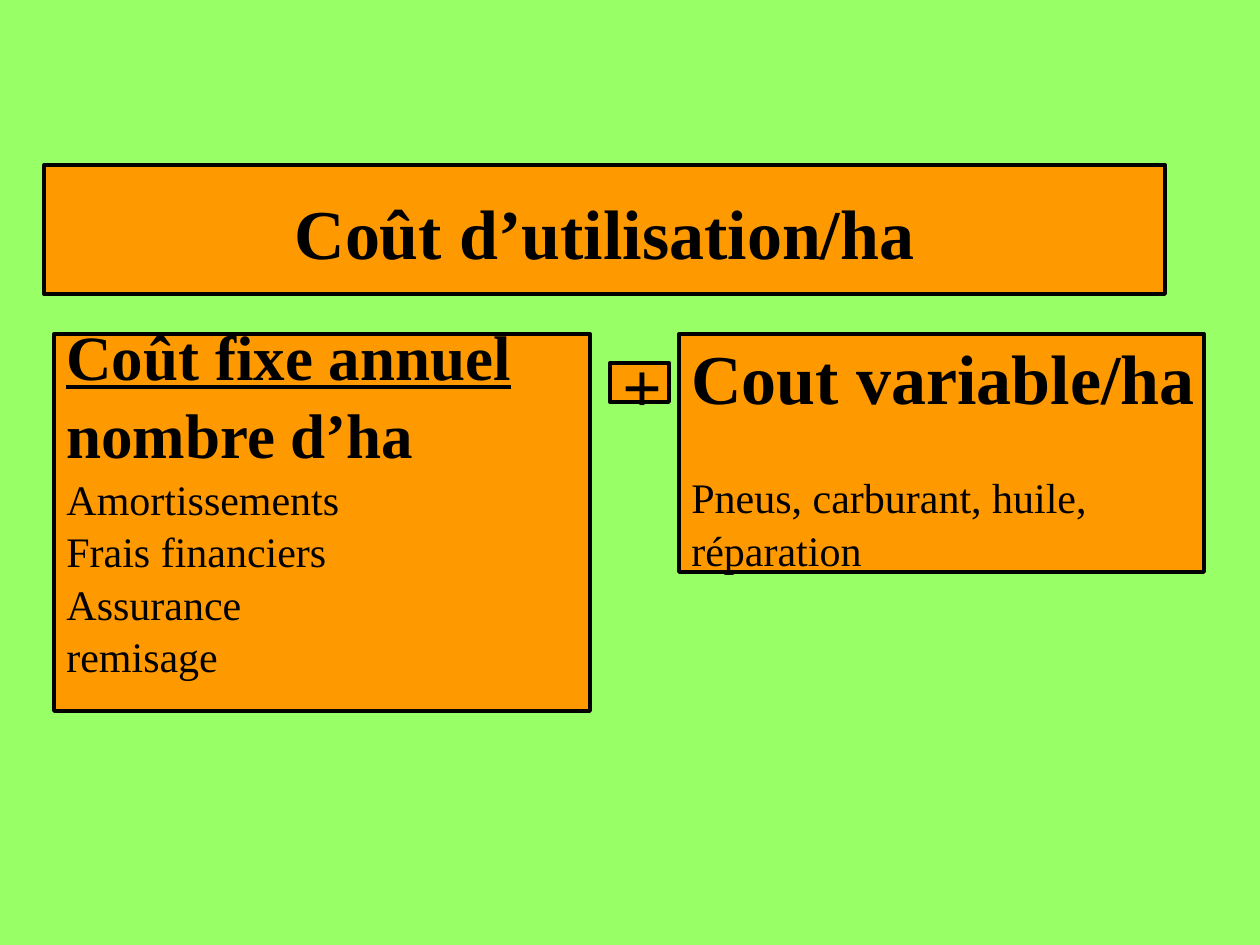
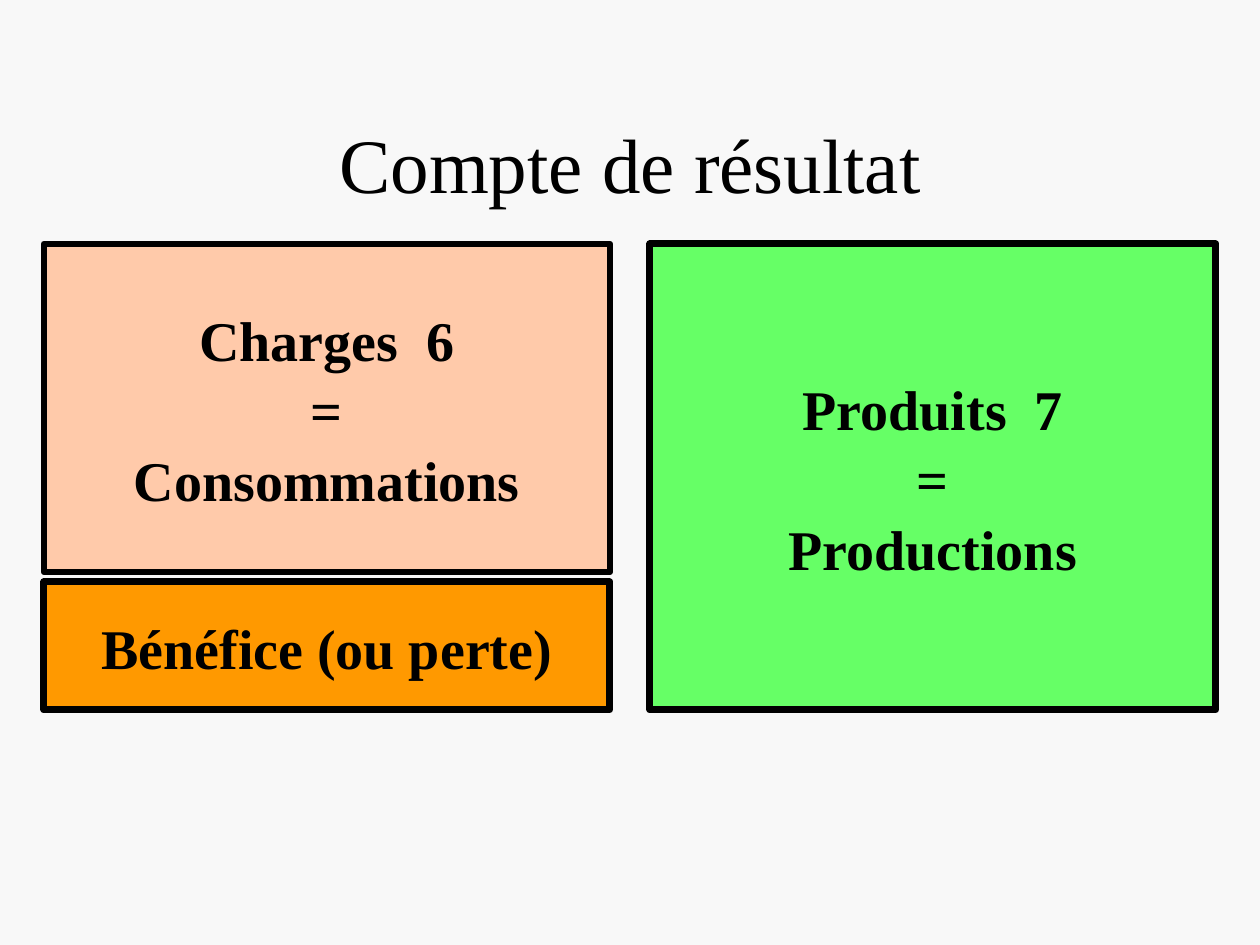
from lxml import etree
from pptx import Presentation
from pptx.dml.color import RGBColor
from pptx.enum.shapes import MSO_SHAPE as SHAPE
from pptx.enum.text import MSO_ANCHOR as ANCHOR, PP_ALIGN as ALIGN
from pptx.oxml.ns import qn
from pptx.util import Emu, Pt

PX_PER_INCH = 126
FONT = "Times New Roman"
LINE_SPACING = 1.04
COLOURS = {
    "green page": "99FF66",
    "grey page": "F8F8F8",
    "orange": "FF9900",
    "peach": "FFCAAA",
    "green": "66FF66",
    "black": "000000",
}
STYLES = {
    "title": {"size": Pt(44), "bold": False},
    "cost": {"size": Pt(40), "bold": True},
    "numerator": {"size": Pt(36), "bold": True, "underline": True},
    "denominator": {"size": Pt(36), "bold": True},
    "detail": {"size": Pt(24), "bold": False},
    "account": {"size": Pt(32), "bold": True},
}


def px(length):
    return Emu(round(length * 914400 / PX_PER_INCH))


def colour(name):
    return RGBColor.from_string(COLOURS[name])


def add_page(deck, layout, background):
    slide = deck.slides.add_slide(deck.slide_layouts[layout])
    slide.background.fill.solid()
    slide.background.fill.fore_color.rgb = colour(background)
    return slide


def place(shape, box):
    for side, length in zip(("left", "top", "width", "height"), box):
        setattr(shape, side, px(length))


def write(frame, lines, align):
    """Fill a text frame with (text, style name) paragraphs."""
    frame.vertical_anchor = ANCHOR.MIDDLE
    frame.word_wrap = True
    for number, (text, style) in enumerate(lines):
        paragraph = frame.add_paragraph() if number else frame.paragraphs[0]
        paragraph.alignment = align
        run = paragraph.add_run()
        run.text = text
        run.font.name = FONT
        run.font.color.rgb = colour("black")
        for key, value in STYLES[style].items():
            setattr(run.font, key, value)


def add_title(slide, text, box):
    place(slide.shapes.title, box)
    write(slide.shapes.title.text_frame, [(text, "title")], ALIGN.CENTER)


def add_block(slide, box, fill, lines, line_width, align=ALIGN.CENTER):
    """Draw an outlined rectangle with text and return its text frame."""
    block = slide.shapes.add_shape(SHAPE.RECTANGLE, *map(px, box))
    block.shadow.inherit = False
    block.fill.solid()
    block.fill.fore_color.rgb = colour(fill)
    block.line.color.rgb = colour("black")
    block.line.width = Pt(line_width)
    etree.SubElement(block._element.spPr.find(qn("a:ln")), qn("a:round"))
    frame = block.text_frame
    if align == ALIGN.LEFT:
        frame.margin_right = 0
    write(frame, lines, align)
    for paragraph in frame.paragraphs:
        paragraph.line_spacing = LINE_SPACING
    return frame


def build_usage_cost(deck):
    slide = add_page(deck, 6, "green page")
    fixed_costs = ["Amortissements", "Frais financiers", "Assurance", "remisage"]
    variable_costs = ["Pneus, carburant, huile,", "réparation"]
    row_top, line_width = 334, 2.25

    add_block(slide, (44, 165, 1121, 129), "orange",
              [("Coût d’utilisation/ha", "cost")], line_width)
    fixed = add_block(
        slide, (54, row_top, 536, 377), "orange",
        [("Coût fixe annuel", "numerator"), ("nombre d’ha", "denominator")]
        + [(cost, "detail") for cost in fixed_costs],
        line_width, ALIGN.LEFT)
    fixed.margin_bottom = px(56)
    variable = add_block(
        slide, (679, row_top, 525, 238), "orange",
        [("Cout variable/ha", "cost")]
        + [(cost, "detail") for cost in variable_costs],
        line_width, ALIGN.LEFT)
    variable.paragraphs[1].space_before = Pt(29)
    add_block(slide, (610, 363, 59, 39), "orange",
              [("+", "cost")], line_width, ALIGN.LEFT)


def build_income_statement(deck):
    slide = add_page(deck, 5, "grey page")
    add_title(slide, "Compte de résultat", (95, 84, 1071, 158))

    charges_left, products_left, width = 44, 650, 566
    top, bottom, profit_top = 244, 710, 582
    charges = ["Charges  6", "=", "Consommations"]
    products = ["Produits  7", "=", "Productions"]
    profit = ["Bénéfice (ou perte)"]
    for left, block_top, height, fill, texts, line_width in (
        (charges_left, top, 328, "peach", charges, 3.75),
        (products_left, top, bottom - top, "green", products, 4),
        (charges_left, profit_top, bottom - profit_top, "orange", profit, 4),
    ):
        add_block(slide, (left, block_top, width, height), fill,
                  [(text, "account") for text in texts], line_width)


def main():
    deck = Presentation()
    deck.slide_width, deck.slide_height = px(1260), px(945)
    build_usage_cost(deck)
    build_income_statement(deck)
    deck.save("out.pptx")


if __name__ == "__main__":
    main()
